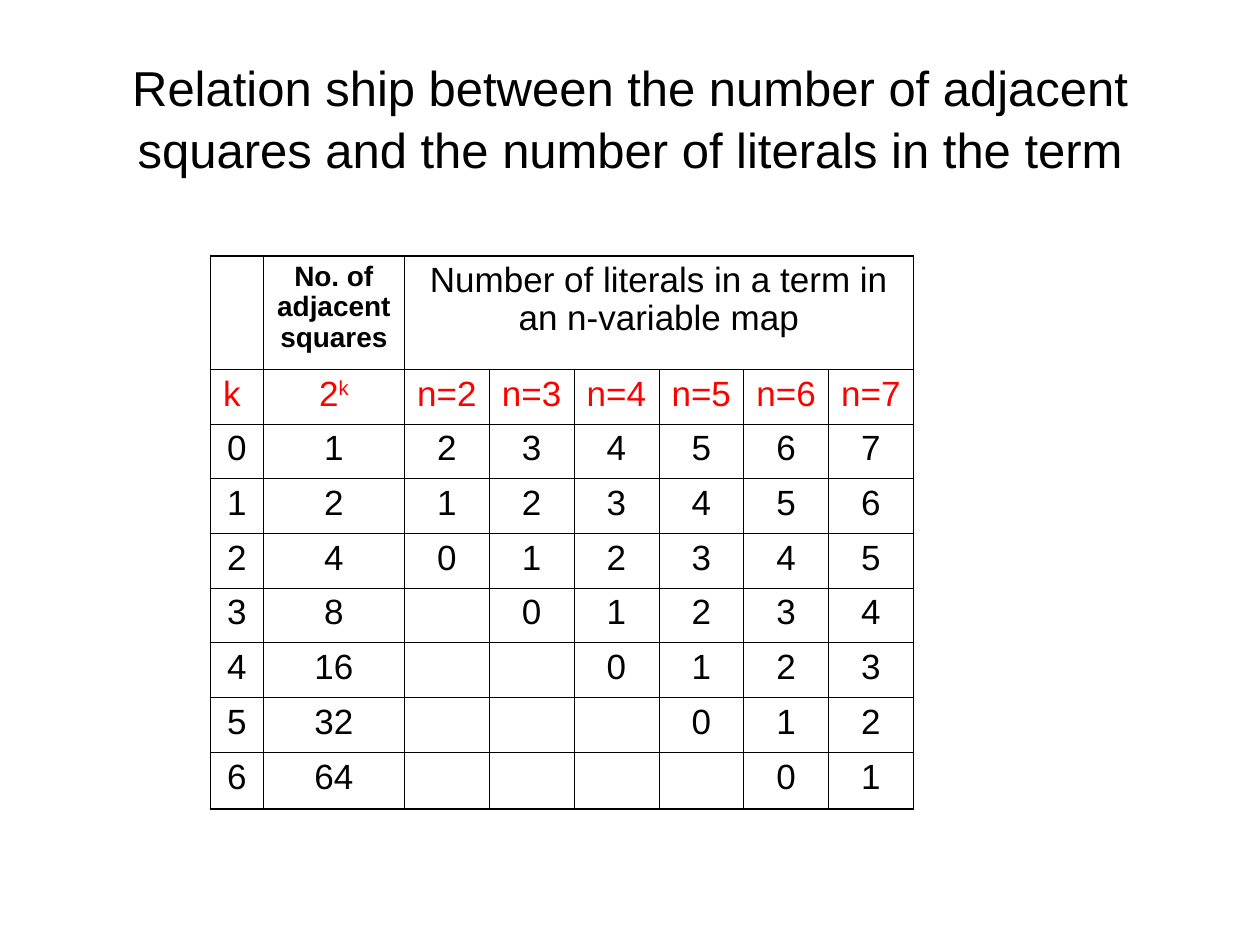
from lxml.etree import SubElement
from pptx import Presentation
from pptx.dml.color import RGBColor
from pptx.enum.text import MSO_ANCHOR, PP_ALIGN
from pptx.oxml.ns import qn
from pptx.util import Inches, Pt

BLACK = "000000"
RED = "FF0000"
THIN, THICK = 0.45, 1.08
VARIABLES = range(2, 8)
K_VALUES = range(7)


def color(value):
    return RGBColor.from_string(value)


def write_paragraph(frame, text, size, ink=BLACK, bold=False, spacing=0.98, superscript=""):
    paragraph = frame.paragraphs[0]
    paragraph.alignment = PP_ALIGN.CENTER
    paragraph.line_spacing = spacing
    for part in filter(None, (text, superscript)):
        run = paragraph.add_run()
        run.text = part
        for name, value in {"name": "Arial", "size": Pt(size), "bold": bold}.items():
            setattr(run.font, name, value)
        run.font.color.rgb = color(ink)
    if superscript:
        run.font._element.set("baseline", "30000")


def set_borders(cell, widths):
    properties = cell._tc.get_or_add_tcPr()
    for side, width in widths.items():
        line = SubElement(properties, qn(f"a:ln{side}"), w=str(Pt(width)))
        fill = SubElement(line, qn("a:solidFill"))
        SubElement(fill, qn("a:srgbClr"), val=BLACK)


def add_title(slide, left, top, width, height):
    box = slide.shapes.add_textbox(Inches(left), Inches(top), Inches(width), Inches(height))
    frame = box.text_frame
    frame.word_wrap = True
    frame.vertical_anchor = MSO_ANCHOR.MIDDLE
    write_paragraph(
        frame,
        "Relation ship between the number of adjacent squares "
        "and the number of literals in the term",
        28,
        spacing=1.05,
    )


def add_literals_table(slide, left, top, width, height):
    row_count, column_count = len(K_VALUES) + 2, len(VARIABLES) + 2
    table = slide.shapes.add_table(
        row_count, column_count, Inches(left), Inches(top), Inches(width), Inches(height)
    ).table
    table.first_row = table.horz_banding = False

    # Column widths and row heights
    k_width, squares_width = 0.42, 1.12
    variable_width = (width - k_width - squares_width) / len(VARIABLES)
    widths = [k_width, squares_width] + [variable_width] * len(VARIABLES)
    for column, size in zip(table.columns, widths):
        column.width = Inches(size)
    header_height, last_height = 0.9, 0.45
    row_height = (height - header_height - last_height) / (row_count - 2)
    heights = [header_height] + [row_height] * (row_count - 2) + [last_height]
    for row, size in zip(table.rows, heights):
        row.height = Inches(size)

    # Thin grid with a thicker outer frame
    for row in range(row_count):
        for column in range(column_count):
            cell = table.cell(row, column)
            set_borders(cell, {
                "L": THICK if column == 0 else THIN,
                "R": THICK if column == column_count - 1 else THIN,
                "T": THICK if row == 0 else THIN,
                "B": THICK if row == row_count - 1 else THIN,
            })
            cell.fill.background()

    # Heading rows
    table.cell(0, 2).merge(table.cell(0, column_count - 1))
    write_paragraph(table.cell(0, 1).text_frame, "No. of adjacent squares", 16, bold=True)
    write_paragraph(
        table.cell(0, 2).text_frame, "Number of literals in a term in an n-variable map", 20
    )
    write_paragraph(table.cell(1, 0).text_frame, "k ", 20, RED)
    write_paragraph(table.cell(1, 1).text_frame, "2", 20, RED, superscript="k")
    for column, n in enumerate(VARIABLES, 2):
        write_paragraph(table.cell(1, column).text_frame, f"n={n}", 20, RED)

    # 2^k adjacent squares leave n - k literals
    for row, k in enumerate(K_VALUES, 2):
        values = [k, 2 ** k] + [n - k if n >= k else "" for n in VARIABLES]
        for column, value in enumerate(values):
            write_paragraph(table.cell(row, column).text_frame, str(value), 20)


def main():
    presentation = Presentation()
    presentation.slide_width = Inches(10)
    presentation.slide_height = Inches(7.5)
    slide = presentation.slides.add_slide(presentation.slide_layouts[6])
    add_title(slide, 0.5, 0.3, 9, 1.25)
    add_literals_table(slide, 1.67, 2.03, 5.58, 4.39)
    presentation.save("out.pptx")


if __name__ == "__main__":
    main()
